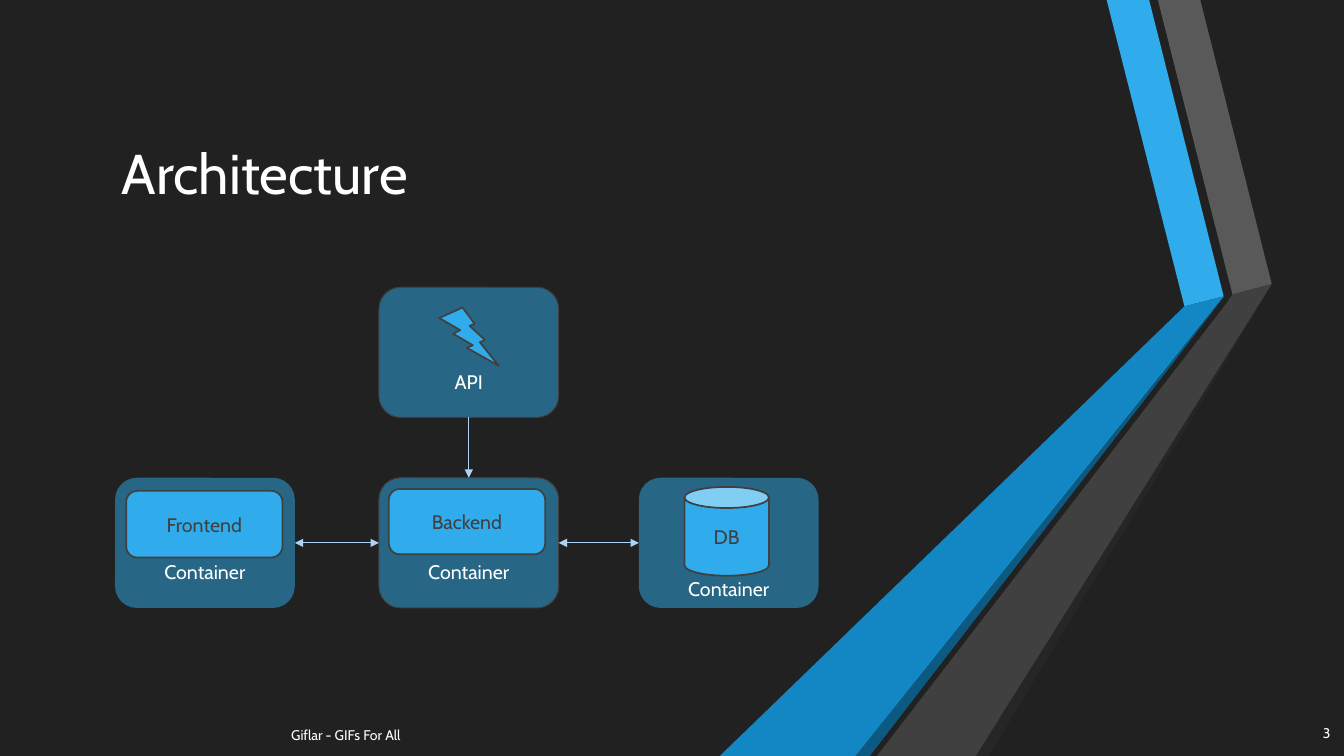
"""Build the Architecture slide: container diagram beside a folded ribbon."""
from dataclasses import dataclass

from lxml import etree
from pptx import Presentation
from pptx import util as u
from pptx.dml.color import RGBColor
from pptx.enum import shapes, text
from pptx.oxml import ns

BLUE, GREY, WHITE, DARK, ARROW = "30ACEC", "404040", "FFFFFF", "212121", "AED2F4"
WIDTH, BOTTOM = 33.87, 19.05
BOX_W, BOX_H = 4.53, 3.28
LEFT, MIDDLE, RIGHT = 2.9, 9.55, 16.1
API_TOP, ROW_TOP = 7.24, 12.04
KIND, ALIGN = shapes.MSO_SHAPE, text.PP_ALIGN


@dataclass
class Ribbon:
    color: str
    points: list[tuple[float, float]]


@dataclass
class Label:
    words: str
    x: float
    y: float
    w: float
    h: float
    size: int = 10
    align: ALIGN = ALIGN.LEFT


@dataclass
class Node:
    words: str
    x: float
    y: float
    w: float = BOX_W
    h: float = BOX_H
    kind: KIND = KIND.ROUNDED_RECTANGLE
    color: str = GREY
    line: float = 1.25
    alpha: int = 100
    inset: float = 0.13


@dataclass
class Link:
    start: str
    start_side: int
    end: str
    end_side: int
    heads: tuple[str, ...] = ("headEnd", "tailEnd")


RIBBONS = [
    Ribbon(BLUE, [(30.84, 7.47), (29.85, 7.72), (27.89, 0), (28.96, 0)]),
    Ribbon("595959", [(31.06, 7.42), (29.18, 0), (30.25, 0), (32.05, 7.16)]),
    Ribbon("262626", [(32.05, 7.19), (24.92, BOTTOM), (24.59, BOTTOM)]),
    Ribbon("0C5A82", [(21.56, BOTTOM), (30.84, 7.49), (21.92, BOTTOM)]),
    Ribbon("1287C3", [(30.84, 7.47), (21.56, BOTTOM), (18.14, BOTTOM), (29.85, 7.72)]),
    Ribbon(GREY, [(22.1, BOTTOM), (30.89, 7.67), (31.06, 7.42), (32.05, 7.16),
                  (24.59, BOTTOM)]),
]
LABELS = [
    Label("Architecture", 2.82, 1.9, 20.6, 4.88, 40),
    Label("Giflar - GIFs For All", 7.09, 18.01, 19.69, 1.02),
    Label("3", 32.26, 17.96, 1.52, 1.02, align=ALIGN.RIGHT),
]
CONTAINERS = {
    "frontend": Node("Container", LEFT, ROW_TOP, color=WHITE, line=0, alpha=50, inset=1.6),
    "backend": Node("Container", MIDDLE, ROW_TOP, color=WHITE, line=0.75, alpha=50, inset=1.6),
    "db": Node("Container", RIGHT, ROW_TOP, color=WHITE, line=0, alpha=50, inset=2.45),
    "api": Node("API", MIDDLE, API_TOP, color=WHITE, line=0.75, alpha=50, inset=1.6),
}
CONTENTS = [
    Node("Frontend", 3.18, 12.37, 3.94, 1.68),
    Node("Backend", 9.8, 12.32, 3.94, 1.65),
    Node("DB", 17.25, 12.27, 2.13, 2.24, KIND.CAN),
    Node("", 11.07, 7.75, 1.5, 1.47, KIND.LIGHTNING_BOLT),
]
LINKS = [
    Link("api", 2, "backend", 0, ("tailEnd",)),
    Link("db", 1, "backend", 3),
    Link("frontend", 3, "backend", 1),
]


def paint(target, color: str) -> None:
    target.solid()
    target.fore_color.rgb = RGBColor.from_string(color)


def apply(target, values: dict) -> None:
    for name, value in values.items():
        setattr(target, name, value)


def write(tf, words: str, size: int, color: str, align: ALIGN) -> None:
    apply(tf, {"word_wrap": True, "vertical_anchor": text.MSO_ANCHOR.MIDDLE})
    p = tf.paragraphs[0]
    p.alignment = align
    r = p.add_run()
    r.text = words
    apply(r.font, {"name": "Cabin", "size": u.Pt(size)})
    paint(r.font.fill, color)


def draw_ribbon(s, ribbon: Ribbon) -> None:
    points = [(u.Cm(x), u.Cm(y)) for x, y in ribbon.points]
    builder = s.shapes.build_freeform(*points[0])
    builder.add_line_segments(points[1:], close=True)
    sp = builder.convert_to_shape()
    sp.shadow.inherit = False
    paint(sp.fill, ribbon.color)
    sp.line.fill.background()


def draw_label(s, label: Label) -> None:
    place = map(u.Cm, (label.x, label.y, label.w, label.h))
    sp = s.shapes.add_textbox(*place)
    write(sp.text_frame, label.words, label.size, WHITE, label.align)


def draw_node(s, node: Node):
    sp = s.shapes.add_shape(node.kind, *map(u.Cm, (node.x, node.y, node.w, node.h)))
    sp.shadow.inherit = False
    paint(sp.fill, BLUE)
    if node.alpha < 100:
        color = sp.element.spPr.find(ns.qn("a:solidFill"))[0]
        etree.SubElement(color, ns.qn("a:alpha"), val=str(node.alpha * 1000))
    if node.line:
        paint(sp.line.fill, GREY)
        sp.line.width = u.Pt(node.line)
    else:
        sp.line.fill.background()
    if node.words:
        apply(sp.text_frame, {"margin_top": u.Cm(node.inset), "margin_bottom": u.Cm(0.13)})
        write(sp.text_frame, node.words, 14, node.color, ALIGN.CENTER)
    return sp


def draw_link(s, link: Link, boxes: dict) -> None:
    c = s.shapes.add_connector(shapes.MSO_CONNECTOR.STRAIGHT, 0, 0, 0, 0)
    c.begin_connect(boxes[link.start], link.start_side)
    c.end_connect(boxes[link.end], link.end_side)
    paint(c.line.fill, ARROW)
    c.line.width = u.Pt(0.75)
    ln = c.element.spPr.find(ns.qn("a:ln"))
    for head in link.heads:
        etree.SubElement(ln, ns.qn(f"a:{head}"), type="triangle")
    etree.SubElement(c.element.spPr, ns.qn("a:effectLst"))


def main() -> None:
    prs = Presentation()
    apply(prs, {"slide_width": u.Cm(WIDTH), "slide_height": u.Cm(BOTTOM)})
    s = prs.slides.add_slide(prs.slide_layouts[6])
    paint(s.background.fill, DARK)
    for ribbon in RIBBONS:
        draw_ribbon(s, ribbon)
    for label in LABELS:
        draw_label(s, label)
    boxes = {name: draw_node(s, node) for name, node in CONTAINERS.items()}
    for node in CONTENTS:
        draw_node(s, node)
    for link in LINKS:
        draw_link(s, link, boxes)
    prs.save("out.pptx")


if __name__ == "__main__":
    main()
